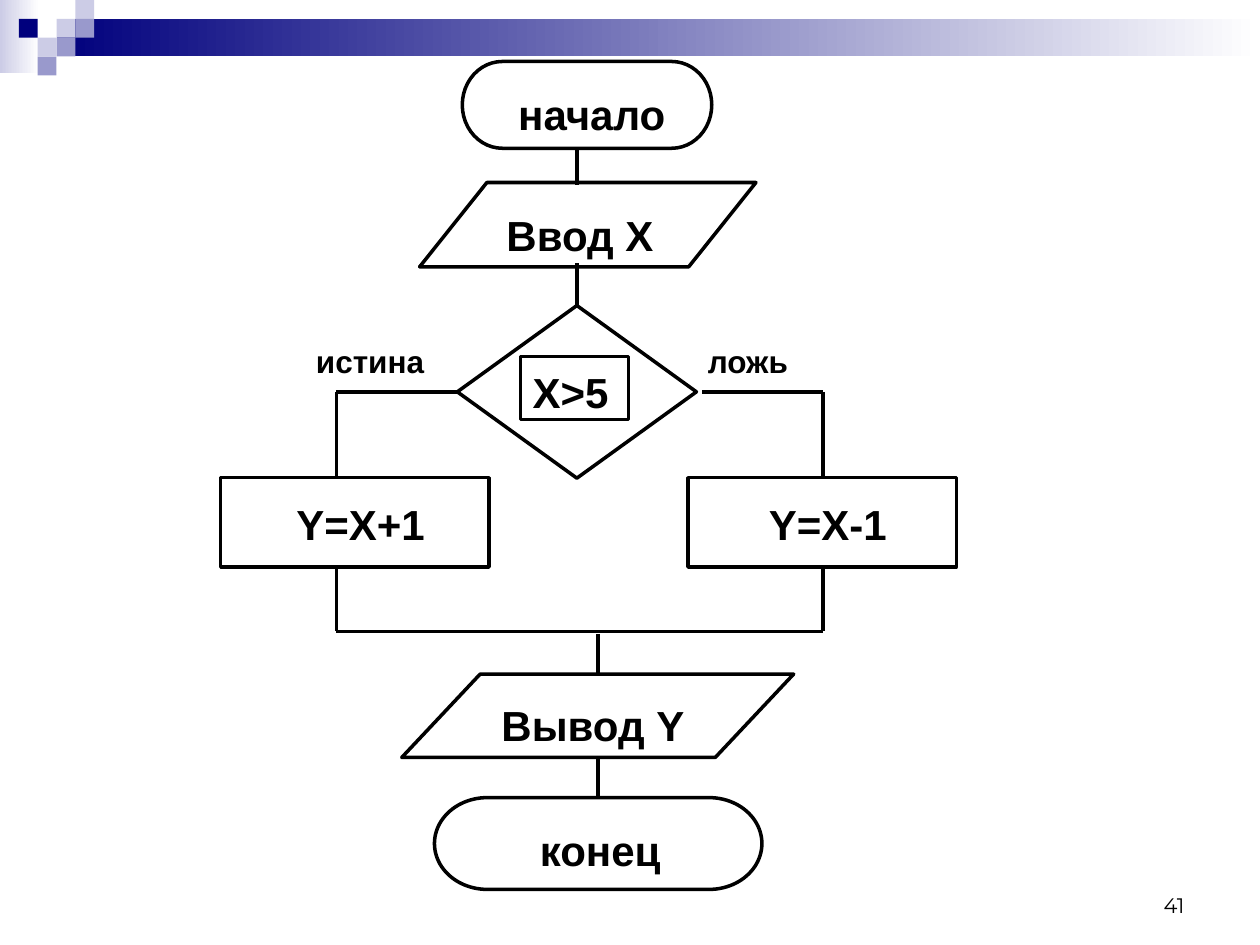
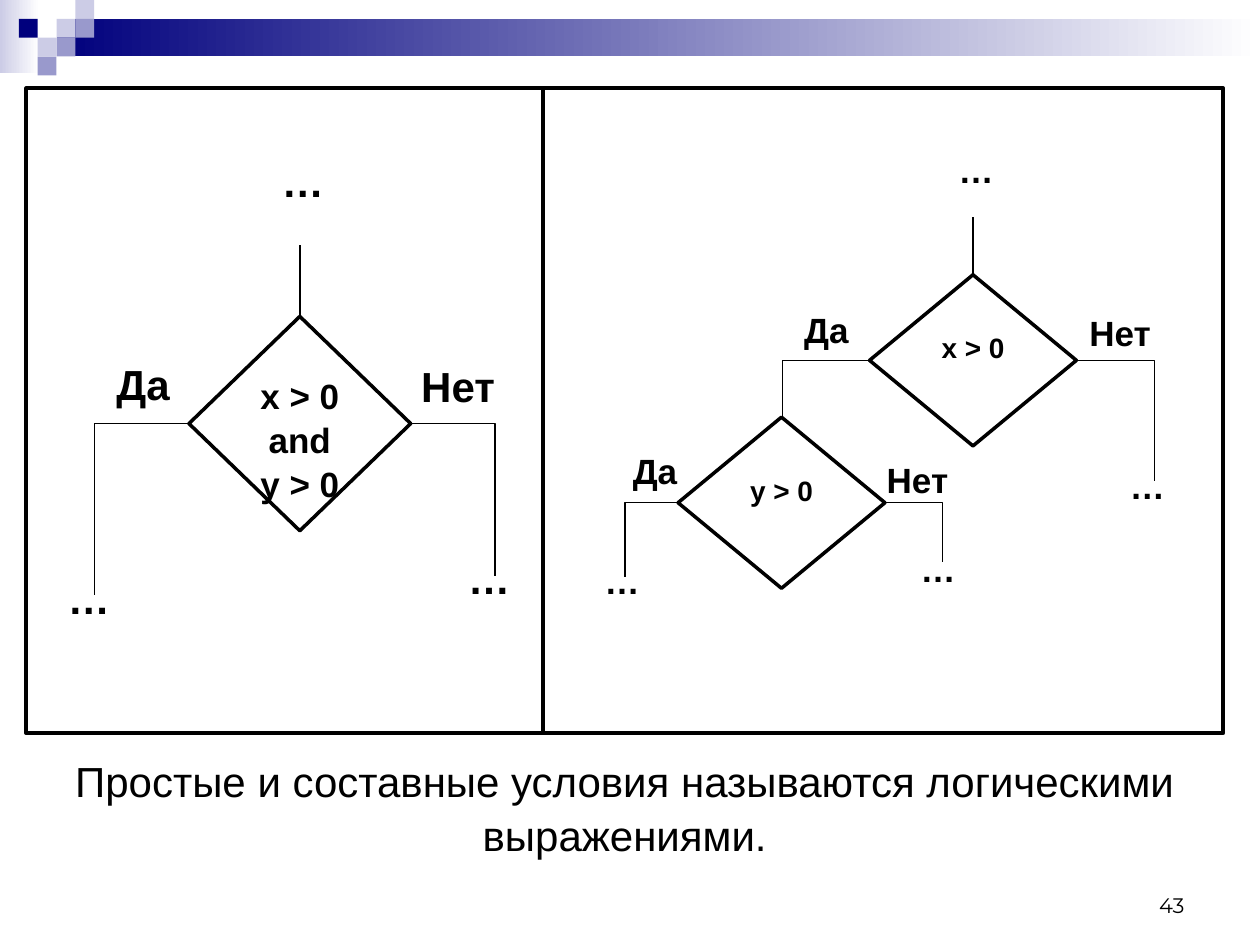
from dataclasses import dataclass

import pptx
import pptx.dml.color
import pptx.enum.shapes
import pptx.enum.text
import pptx.oxml.ns
import pptx.shapes.autoshape
import pptx.shapes.connector
import pptx.slide
import pptx.util
from lxml import etree

Cm = pptx.util.Cm
Pt = pptx.util.Pt
KIND = pptx.enum.shapes.MSO_SHAPE
ALIGN = pptx.enum.text.PP_ALIGN
ANCHOR = pptx.enum.text.MSO_ANCHOR
Slide = pptx.slide.Slide
Shape = pptx.shapes.autoshape.Shape
Line = pptx.shapes.connector.Connector

HUES = {"ink": "000000", "paper": "FFFFFF", "navy": "00007D",
        "mid": "9999CC", "pale": "CCCCE6"}
UNIT = 0.38
TOP, LEFT, BOTTOM, RIGHT = range(4)


@dataclass
class Block:
    kind: KIND
    x: float
    y: float
    w: float
    h: float
    text: str = ""
    size: int = 24
    inset: float = 0.13
    align: ALIGN = ALIGN.CENTER


@dataclass
class Label:
    text: str
    x: float
    y: float
    w: float
    h: float = 1.27
    size: int = 24
    align: ALIGN = ALIGN.CENTER
    bold: bool = True
    font: str = "Arial"
    anchor: ANCHOR = ANCHOR.TOP


@dataclass
class Fork:
    """A decision with the end points of its yes and no branches."""
    block: Block
    yes: tuple[float, float]
    no: tuple[float, float]
    stem: float | None = None


# Tiles of the corner mosaic: column, row, colour
TILES = [(3, 1, "pale"), (4, 0, "pale"), (4, 1, "mid"), (2, 2, "pale"),
         (1, 1, "navy"), (3, 2, "mid"), (2, 3, "mid")]

# Flowchart axes
AXIS, FOOT, WEST, EAST = 11.63, 12.06, 6.78, 16.59
SPLIT, ROW, BASE, MERGE = 7.9, 9.63, 11.43, 12.73

TEST = Block(KIND.FLOWCHART_DECISION, 9.22, 6.16, 4.82, 3.48)
FINISH = Block(KIND.FLOWCHART_TERMINATOR, 8.76, 16.08, 6.6, 1.85)
BLOCKS = [
    Block(KIND.FLOWCHART_TERMINATOR, 9.32, 1.24, 5.03, 1.75),
    Block(KIND.FLOWCHART_DATA, 8.46, 3.68, 6.78, 1.7),
    Block(KIND.FLOWCHART_PROCESS, 4.45, ROW, 5.41, 1.8),
    Block(KIND.FLOWCHART_PROCESS, 13.87, ROW, 5.41, 1.8),
    Block(KIND.FLOWCHART_DATA, 8.1, 13.59, 7.9, 1.68),
]
CHECK = Block(KIND.RECTANGLE, 10.49, 7.19, 2.18, 1.27, "X>5", align=ALIGN.LEFT)
STEPS = [
    Label("начало", 10.01, 1.6, 3.84),
    Label("Ввод Х", 9.96, 4.04, 3.89, align=ALIGN.LEFT),
    Label("Y=X+1", 5.44, 9.86, 3.66),
    Label("Y=X-1", 14.86, 9.86, 3.66),
    Label("Вывод Y", 9.86, 13.92, 4.55, align=ALIGN.LEFT),
    Label("конец", 9.6, 16.43, 5),
    Label("истина", 6.12, 6.73, 2.97, 1.02, 18, ALIGN.LEFT),
    Label("ложь", 14.02, 6.73, 2.62, 1.02, 18, ALIGN.LEFT),
]
LINKS = [
    (AXIS, 2.97, AXIS, 3.73),
    (EAST, SPLIT, 14.15, SPLIT),
    (WEST, SPLIT, WEST, ROW),
    (EAST, SPLIT, EAST, ROW),
    (WEST, BASE, WEST, MERGE),
    (EAST, BASE, EAST, MERGE),
    (WEST, MERGE, EAST, MERGE),
    (FOOT, 12.78, FOOT, 13.59),
]

FORKS = [
    Fork(Block(KIND.DIAMOND, 3.81, 6.38, 4.47, 4.32, "x > 0 and\ny > 0", 20, 0.03),
         (1.9, 11.99), (9.98, 11.61), 4.93),
    Fork(Block(KIND.DIAMOND, 17.53, 5.54, 4.17, 3.45, "x > 0", 16, 0.23),
         (15.77, 8.41), (23.27, 9.7), 4.37),
    Fork(Block(KIND.DIAMOND, 13.67, 8.41, 4.17, 3.45, "y > 0", 16, 0.23),
         (12.6, 11.63), (19, 11.33)),
]
MARKS = [
    Label("Да", 1.27, 7.04, 3.23, 2.16),
    Label("Нет", 7.57, 7.09, 3.33, 1.85),
    Label("…", 2.97, 2.95, 6.27, 1.8),
    Label("…", 1.12, 11.35, 4.09, 2.87, align=ALIGN.LEFT),
    Label("…", 9.19, 10.95, 4.09, 2.87, align=ALIGN.LEFT),
    Label("Да", 15.16, 6.05, 3, 1.73, 20),
    Label("Нет", 21.03, 6.1, 3.1, 1.47, 20),
    Label("…", 16.76, 2.82, 5.84, 1.45, 20),
    Label("…", 18.31, 10.87, 1.73, 2.29, 20, ALIGN.LEFT),
    Label("…", 22.53, 9.19, 1.57, 1.75, 20, ALIGN.LEFT),
    Label("…", 11.94, 11.1, 1.73, 1.27, 20, ALIGN.LEFT),
    Label("Да", 12.19, 8.89, 2.03, 1.73, 20),
    Label("Нет", 17.35, 9.07, 2.29, 1.47, 20),
]
CLAIM = Label("Простые и составные условия называются логическими выражениями.",
              0.53, 14.78, 24.13, 2.95, bold=False, anchor=ANCHOR.MIDDLE)


def hue(name: str) -> pptx.dml.color.RGBColor:
    return pptx.dml.color.RGBColor.from_string(HUES[name])


def write(shape: Shape, item: Block | Label, font: str = "Arial", bold: bool = True) -> None:
    frame = shape.text_frame
    frame.word_wrap = True
    frame.text = item.text
    for para in frame.paragraphs:
        para.alignment = item.align
        para.line_spacing = 1.06
        para.font.name = font
        para.font.size = Pt(item.size)
        para.font.bold = bold
        para.font.color.rgb = hue("ink")


def label(slide: Slide, item: Label) -> None:
    box = slide.shapes.add_textbox(Cm(item.x), Cm(item.y), Cm(item.w), Cm(item.h))
    write(box, item, item.font, item.bold)
    box.text_frame.vertical_anchor = item.anchor


def block(slide: Slide, item: Block) -> Shape:
    shape = slide.shapes.add_shape(
        item.kind, Cm(item.x), Cm(item.y), Cm(item.w), Cm(item.h))
    shape.shadow.inherit = False
    shape.fill.solid()
    shape.fill.fore_color.rgb = hue("paper")
    shape.line.color.rgb = hue("ink")
    shape.line.width = Pt(2)
    if item.text:
        write(shape, item)
        frame = shape.text_frame
        frame.vertical_anchor = ANCHOR.TOP
        frame.margin_top, frame.margin_bottom = Cm(item.inset), Cm(0.1)
    return shape


def link(slide: Slide, x: float, y: float, to_x: float, to_y: float,
         width: float = 2) -> Line:
    line = slide.shapes.add_connector(
        pptx.enum.shapes.MSO_CONNECTOR.STRAIGHT, Cm(x), Cm(y), Cm(to_x), Cm(to_y))
    line.line.color.rgb = hue("ink")
    line.line.width = Pt(width)
    props = line._element.spPr
    etree.SubElement(props, pptx.oxml.ns.qn("a:effectLst"))
    return line


def elbow(slide: Slide, x: float, y: float, end: tuple[float, float]) -> None:
    """Draw a branch that runs sideways and then down."""
    to_x, to_y = (Cm(val) for val in end)
    pen = slide.shapes.build_freeform(Cm(x), Cm(y))
    pen.add_line_segments([(to_x, Cm(y)), (to_x, to_y)], close=False)
    shape = pen.convert_to_shape()
    shape.shadow.inherit = False
    shape.fill.background()
    shape.line.color.rgb = hue("ink")
    shape.line.width = Pt(0.75)


def fork(slide: Slide, item: Fork) -> None:
    box = item.block
    mid = box.y + box.h / 2
    elbow(slide, box.x, mid, item.yes)
    elbow(slide, box.x + box.w, mid, item.no)
    shape = block(slide, box)
    if item.stem is not None:
        axis = box.x + box.w / 2
        link(slide, axis, box.y, axis, item.stem, 0.75).begin_connect(shape, TOP)


def tile(slide: Slide, x: float, y: float, w: float, h: float,
         tone: str, fade: bool = False) -> None:
    shape = slide.shapes.add_shape(KIND.RECTANGLE, Cm(x), Cm(y), Cm(w), Cm(h))
    shape.shadow.inherit = False
    shape.line.fill.background()
    if fade:
        shape.fill.gradient()
        shape.fill.gradient_angle = 0
        for stop, name in zip(shape.fill.gradient_stops, (tone, "paper")):
            stop.color.rgb = hue(name)
    else:
        shape.fill.solid()
        shape.fill.fore_color.rgb = hue(tone)


def page(deck: pptx.presentation.Presentation, num: int) -> Slide:
    """Add a slide with the shared band, mosaic and number."""
    slide = deck.slides.add_slide(deck.slide_layouts[6])
    tile(slide, 0, 0, 0.79, 1.47, "pale", fade=True)
    tile(slide, 3 * UNIT, UNIT, 25.4 - 3 * UNIT, 2 * UNIT, "navy", fade=True)
    for col, row, tone in TILES:
        tile(slide, col * UNIT, row * UNIT, UNIT, UNIT, tone)
    label(slide, Label(str(num), 18.21, 17.35, 5.92, 1.27, 12, ALIGN.RIGHT,
                       False, "Montserrat", ANCHOR.BOTTOM))
    return slide


def chart(slide: Slide) -> None:
    """Draw the full branching flowchart."""
    for item in BLOCKS:
        block(slide, item)
    test, finish = block(slide, TEST), block(slide, FINISH)
    block(slide, CHECK)
    for item in STEPS:
        label(slide, item)
    for ends in LINKS:
        link(slide, *ends)
    link(slide, AXIS, 5.31, AXIS, TEST.y).end_connect(test, TOP)
    link(slide, TEST.x, SPLIT, WEST, SPLIT).begin_connect(test, LEFT)
    link(slide, FOOT, 15.27, FOOT, FINISH.y).end_connect(finish, TOP)


def compare(slide: Slide) -> None:
    """Set a compound condition beside nested simple ones."""
    frame = block(slide, Block(KIND.RECTANGLE, 0.53, 1.78, 24.13, 13))
    frame.fill.background()
    frame.line.width = Pt(2.25)
    link(slide, 10.95, 1.78, 10.95, 14.78, 2.25)
    for item in FORKS:
        fork(slide, item)
    for item in MARKS:
        label(slide, item)
    label(slide, CLAIM)


def main() -> None:
    deck = pptx.Presentation()
    deck.slide_width, deck.slide_height = Cm(25.4), Cm(19.05)
    chart(page(deck, 41))
    compare(page(deck, 43))
    deck.save("out.pptx")


if __name__ == "__main__":
    main()
